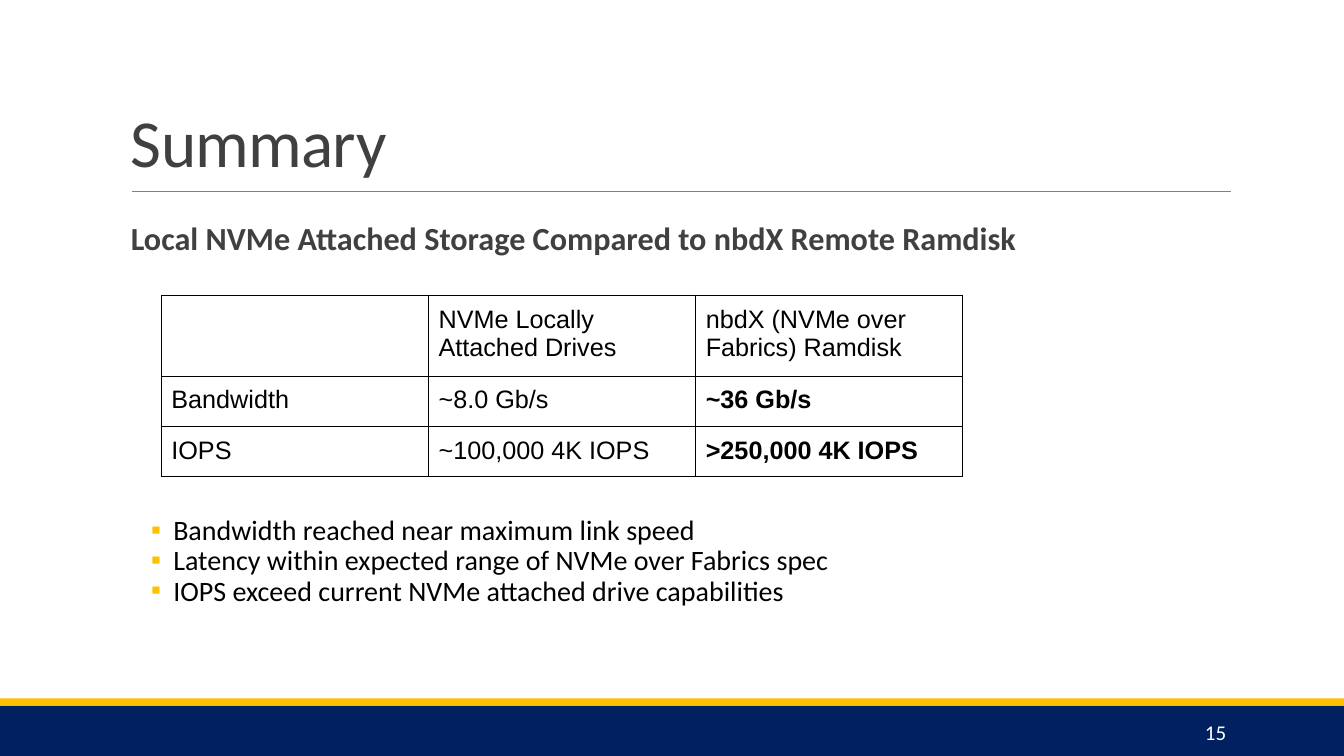
import pptx
import pptx.dml.color
import pptx.enum.shapes
import pptx.enum.text
import pptx.oxml
import pptx.oxml.ns
import pptx.util
from pptx.util import Inches

RGBColor = pptx.dml.color.RGBColor
NAVY = RGBColor(0x00, 0x20, 0x60)
GOLD = RGBColor(0xFF, 0xC0, 0x00)
GRAY = RGBColor(0x80, 0x80, 0x80)
DARK = RGBColor(0x40, 0x40, 0x40)
BLACK = RGBColor(0x00, 0x00, 0x00)
WHITE = RGBColor(0xFF, 0xFF, 0xFF)

ALIGN = pptx.enum.text.PP_ALIGN
ANCHOR = pptx.enum.text.MSO_ANCHOR


def add_element(parent, tag, **attributes):
    element = pptx.oxml.parse_xml(f"<{tag} {pptx.oxml.ns.nsdecls('a')}/>")
    for name, value in attributes.items():
        element.set(name, str(value))
    parent.append(element)
    return element


class SlideBuilder:
    body_font = "Calibri"
    table_font = "Arial"
    inset = Inches(0.1)

    def __init__(self, slide):
        self.slide = slide

    def format_text(self, paragraph, text, size, color, font=None, bold=False):
        run = paragraph.add_run()
        run.text = text
        formats = {"name": font or self.body_font, "size": pptx.util.Pt(size), "bold": bold}
        for name, value in formats.items():
            setattr(run.font, name, value)
        run.font.color.rgb = color
        return run

    def bar(self, top, height, color):
        shape = self.slide.shapes.add_shape(
            pptx.enum.shapes.MSO_SHAPE.RECTANGLE, 0, Inches(top), Inches(13.33), Inches(height))
        shape.shadow.inherit = False
        shape.fill.solid()
        shape.fill.fore_color.rgb = color
        shape.line.fill.background()

    def rule(self, left, right, top):
        line = self.slide.shapes.add_connector(
            pptx.enum.shapes.MSO_CONNECTOR.STRAIGHT,
            Inches(left), Inches(top), Inches(right), Inches(top))
        line.line.color.rgb = GRAY
        line.line.width = pptx.util.Pt(0.5)
        add_element(line._element.spPr, "a:effectLst")

    def text(self, box, lines, size, color, bold=False, anchor=ANCHOR.TOP,
             align=ALIGN.LEFT, spacing=0.9, bullet=False, tracking=None):
        frame = self.slide.shapes.add_textbox(*map(Inches, box)).text_frame
        formats = {"word_wrap": True, "vertical_anchor": anchor}
        for side in ("left", "top", "right", "bottom"):
            formats[f"margin_{side}"] = self.inset
        for name, value in formats.items():
            setattr(frame, name, value)
        for index, line in enumerate(lines):
            paragraph = frame.add_paragraph() if index else frame.paragraphs[0]
            paragraph.alignment = align
            paragraph.line_spacing = spacing
            run = self.format_text(paragraph, line, size, color, bold=bold)
            if tracking is not None:
                run.font._element.set("spc", str(tracking))
            if bullet:
                self.bullet(paragraph)

    def bullet(self, paragraph):
        properties = paragraph._p.get_or_add_pPr()
        properties.set("marL", str(Inches(0.22)))
        properties.set("indent", str(-Inches(0.22)))
        bullet_color = add_element(properties, "a:buClr")
        add_element(bullet_color, "a:srgbClr", val=GOLD)
        add_element(properties, "a:buFont", typeface=self.body_font)
        add_element(properties, "a:buChar", char="▪")

    def table(self, left, top, column_width, row_heights, rows):
        columns = len(rows[0])
        table = self.slide.shapes.add_table(
            len(rows), columns, Inches(left), Inches(top),
            Inches(column_width * columns), Inches(sum(row_heights))).table
        table.first_row = table.horz_banding = False
        for column in table.columns:
            column.width = Inches(column_width)
        for row, height, texts in zip(table.rows, row_heights, rows):
            row.height = Inches(height)
            for index, (cell, text) in enumerate(zip(row.cells, texts)):
                # Measured values in the last column stand out
                bold = index == columns - 1 and texts[0] != ""
                self.cell(cell, text, bold)

    def cell(self, cell, text, bold):
        for side in ("left", "top", "right", "bottom"):
            setattr(cell, f"margin_{side}", self.inset)
        if text:
            self.format_text(cell.text_frame.paragraphs[0], text, 18, BLACK, self.table_font, bold)
        properties = cell._tc.get_or_add_tcPr()
        for tag in ("a:lnL", "a:lnR", "a:lnT", "a:lnB"):
            border = add_element(properties, tag, w=pptx.util.Pt(0.75))
            add_element(add_element(border, "a:solidFill"), "a:srgbClr", val=BLACK)
        cell.fill.background()


def main():
    presentation = pptx.Presentation()
    presentation.slide_width = Inches(13.33)
    presentation.slide_height = Inches(7.5)
    builder = SlideBuilder(presentation.slides.add_slide(presentation.slide_layouts[6]))

    # Footer bars and title rule
    builder.bar(7, 0.5, NAVY)
    builder.bar(6.93, 0.07, GOLD)
    builder.rule(1.31, 12.21, 1.9)

    # Headings
    builder.text((1.2, 0.31, 11, 1.59), ["Summary"], 48, DARK,
                 anchor=ANCHOR.BOTTOM, spacing=0.85, tracking=-50)
    builder.text((1.2, 2.11, 11, 0.6),
                 ["Local NVMe Attached Storage Compared to nbdX Remote Ramdisk"],
                 23, DARK, bold=True)

    # Comparison table
    builder.table(1.6, 2.93, 2.65, [0.75, 0.48, 0.48], [
        ["", "NVMe Locally Attached Drives", "nbdX (NVMe over Fabrics) Ramdisk"],
        ["Bandwidth", "~8.0 Gb/s", "~36 Gb/s"],
        ["IOPS", "~100,000 4K IOPS", ">250,000 4K IOPS"],
    ])

    # Slide number
    builder.text((10.83, 7.06, 1.43, 0.4), ["15"], 15, WHITE,
                 anchor=ANCHOR.MIDDLE, align=ALIGN.RIGHT, spacing=1.0)

    # Conclusions
    builder.text((1.4, 4.86, 9.21, 1.43), [
        "Bandwidth reached near maximum link speed",
        "Latency within expected range of NVMe over Fabrics spec",
        "IOPS exceed current NVMe attached drive capabilities",
    ], 20, BLACK, anchor=ANCHOR.MIDDLE, bullet=True)

    presentation.save("out.pptx")


if __name__ == "__main__":
    main()
